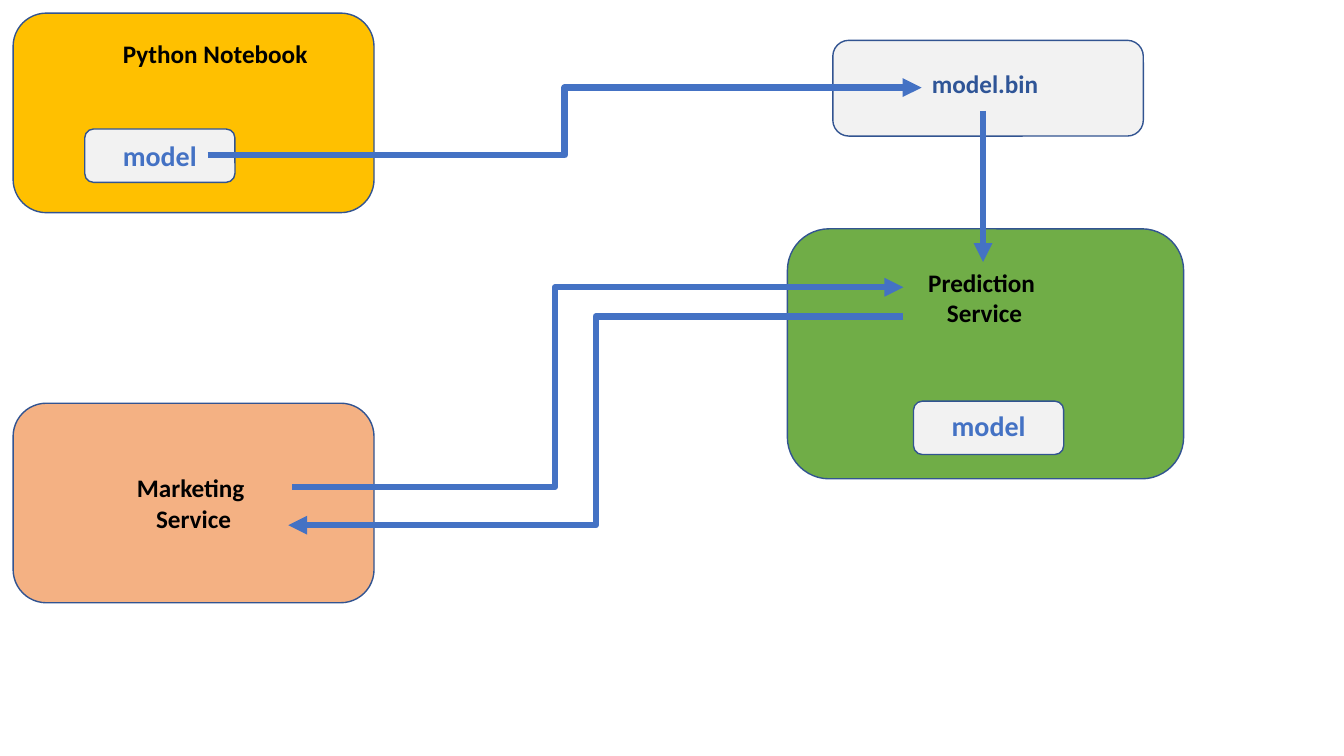
from dataclasses import dataclass

from lxml import etree
from pptx import Presentation
from pptx.dml.color import RGBColor
from pptx.enum.shapes import MSO_CONNECTOR, MSO_SHAPE
from pptx.enum.text import MSO_AUTO_SIZE, PP_ALIGN
from pptx.oxml.ns import qn
from pptx.util import Inches, Pt


@dataclass(frozen=True)
class Theme:
    font: str = "Calibri"
    label_size: int = 18
    model_size: int = 20
    outline_width: int = 1
    arrow_width: float = 4.5
    outline: str = "325491"
    arrow: str = "4472C4"
    label: str = "000000"
    file_label: str = "2F5597"
    notebook: str = "FFC000"
    prediction: str = "70AD47"
    marketing: str = "F4B183"
    artifact: str = "F2F2F2"


THEME = Theme()


def rgb(value):
    return RGBColor.from_string(value)


def add_box(slide, left, top, width, height, fill):
    box = slide.shapes.add_shape(MSO_SHAPE.ROUNDED_RECTANGLE, Inches(left),
                                 Inches(top), Inches(width), Inches(height))
    box.shadow.inherit = False
    box.fill.solid()
    box.fill.fore_color.rgb = rgb(fill)
    box.line.color.rgb = rgb(THEME.outline)
    box.line.width = Pt(THEME.outline_width)


def add_label(slide, left, top, width, height, lines, color=THEME.label,
              size=THEME.label_size, align=PP_ALIGN.CENTER, wrap=False):
    frame = slide.shapes.add_textbox(Inches(left), Inches(top), Inches(width),
                                     Inches(height)).text_frame
    frame.word_wrap = wrap
    frame.auto_size = MSO_AUTO_SIZE.SHAPE_TO_FIT_TEXT
    frame.text = "\n".join(lines)
    for paragraph in frame.paragraphs:
        paragraph.alignment = align
        for run in paragraph.runs:
            run.font.name = THEME.font
            run.font.size = Pt(size)
            run.font.bold = True
            run.font.color.rgb = rgb(color)


def add_model(slide, left, top, label_top):
    add_box(slide, left, top, 1.49, 0.53, THEME.artifact)
    add_label(slide, left + 0.28, label_top, 0.94, 0.44, ["model"],
              THEME.arrow, THEME.model_size, PP_ALIGN.LEFT)


def add_arrow(slide, start, end, bend=None):
    """Draw a straight arrow, or an elbow turning at the fraction `bend`."""
    kind = MSO_CONNECTOR.STRAIGHT if bend is None else MSO_CONNECTOR.ELBOW
    arrow = slide.shapes.add_connector(kind, *map(Inches, start + end))
    arrow.line.color.rgb = rgb(THEME.arrow)
    arrow.line.width = Pt(THEME.arrow_width)
    properties = arrow._element.spPr
    etree.SubElement(properties.find(qn("a:ln")), qn("a:tailEnd"), type="triangle")
    etree.SubElement(properties, qn("a:effectLst"))
    if bend is not None:
        adjustments = properties.find(qn("a:prstGeom")).get_or_add_avLst()
        etree.SubElement(adjustments, qn("a:gd"), name="adj1",
                         fmla=f"val {round(bend * 100000)}")


def main():
    prs = Presentation()
    prs.slide_width, prs.slide_height = Inches(13.33), Inches(7.5)
    slide = prs.slides.add_slide(prs.slide_layouts[6])

    # Notebook that trains the model, and the saved model file
    add_box(slide, 0.13, 0.13, 3.58, 1.98, THEME.notebook)
    add_box(slide, 8.26, 0.4, 3.08, 0.95, THEME.artifact)
    add_label(slide, 1.12, 0.33, 2.15, 0.71, ["Python Notebook"],
              align=PP_ALIGN.LEFT, wrap=True)
    add_model(slide, 0.84, 1.28, 1.32)
    add_label(slide, 8.96, 0.63, 1.62, 0.4, ["model.bin"], THEME.file_label,
              wrap=True)
    add_arrow(slide, (2.06, 1.54), (9.14, 0.87), bend=0.5)

    # Prediction service that loads the file
    add_box(slide, 7.81, 2.27, 3.93, 2.48, THEME.prediction)
    add_label(slide, 9.1, 2.6, 1.33, 0.71, ["Prediction ", "Service"])
    add_arrow(slide, (9.75, 1.1), (9.75, 2.6))
    add_model(slide, 9.06, 3.98, 4.0)

    # Marketing service with its response and request
    add_box(slide, 0.13, 4.0, 3.58, 1.98, THEME.marketing)
    add_label(slide, 1.25, 4.64, 1.34, 0.71, ["Marketing ", "Service"])
    add_arrow(slide, (8.96, 3.14), (2.86, 5.21), bend=0.5)
    add_arrow(slide, (2.9, 4.83), (8.96, 2.85), bend=0.43)

    prs.save("out.pptx")


if __name__ == "__main__":
    main()
